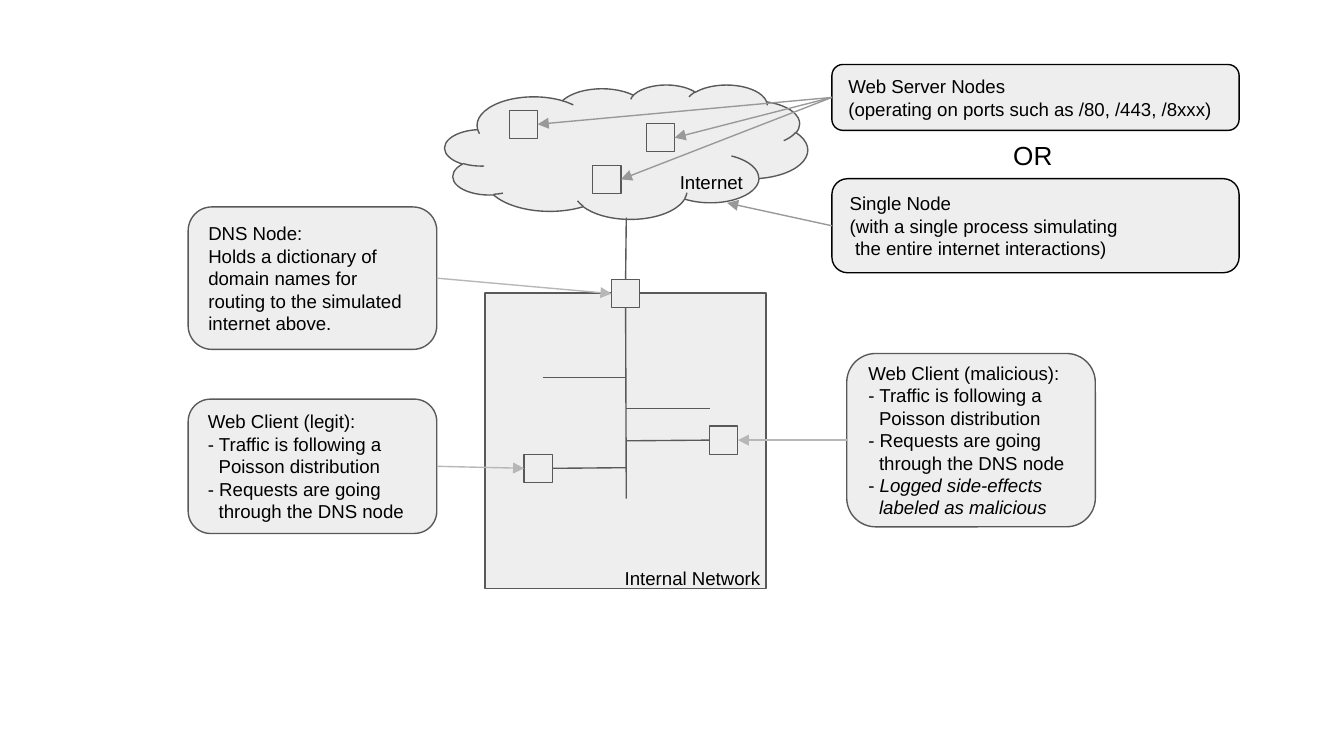
from dataclasses import dataclass

from lxml import etree
from pptx import Presentation
from pptx import util as u
from pptx.dml.color import RGBColor
from pptx.enum import shapes, text
from pptx.oxml import ns

PALE = RGBColor(0xEE, 0xEE, 0xEE)
DARK = RGBColor(0x59, 0x59, 0x59)
GRAY = RGBColor(0x99, 0x99, 0x99)
LIGHT = RGBColor(0xB7, 0xB7, 0xB7)
BLACK = RGBColor(0, 0, 0)
LINE_WIDTH = u.Pt(0.75)
INSET = u.Inches(0.1)
NODE_SIZE = 0.21
TRUNK_X = 4.66
HANG = 0.08
TOP, LEFT, BOTTOM, RIGHT = range(4)
KINDS = shapes.MSO_SHAPE


@dataclass
class Line:
    words: str
    margin: float = 0
    first: float = 0
    marker: str = ""  # upright text ahead of the words
    italic: bool = False
    spacing: float = 1.0


@dataclass
class Callout:
    left: float
    top: float
    width: float
    height: float
    lines: list
    outline: RGBColor = DARK


@dataclass
class Label:
    left: float
    top: float
    width: float
    height: float
    line: Line
    size: float = 10


@dataclass
class Link:
    """Each end is a point in inches or a (shape, side) pair."""
    start: tuple
    end: tuple
    color: RGBColor = DARK
    arrow: bool = False


def write_lines(frame, lines: list, size: float = 10) -> None:
    frame.word_wrap = True
    frame.margin_left = frame.margin_right = INSET
    frame.margin_top = frame.margin_bottom = INSET
    for index, line in enumerate(lines):
        para = frame.add_paragraph() if index else frame.paragraphs[0]
        para.alignment = text.PP_ALIGN.LEFT
        para.line_spacing = line.spacing
        para.font.name = "Arial"
        para.font.size = u.Pt(size)
        para.font.color.rgb = BLACK
        properties = para._p.get_or_add_pPr()
        properties.set("marL", str(u.Inches(line.margin)))
        properties.set("indent", str(u.Inches(line.first)))
        if line.marker:
            para.add_run().text = line.marker
        span = para.add_run()
        span.text = line.words
        if line.italic:
            span.font.italic = True


def add_block(page, kind, left: float, top: float, width: float, height: float,
              outline: RGBColor = DARK):
    block = page.shapes.add_shape(kind, u.Inches(left), u.Inches(top),
                                  u.Inches(width), u.Inches(height))
    block.shadow.inherit = False
    block.fill.solid()
    block.fill.fore_color.rgb = PALE
    block.line.color.rgb = outline
    block.line.width = LINE_WIDTH
    return block


def add_node(page, left: float, top: float):
    return add_block(page, KINDS.RECTANGLE, left, top, NODE_SIZE, NODE_SIZE)


def add_callout(page, item: Callout):
    box = add_block(page, KINDS.ROUNDED_RECTANGLE, item.left, item.top,
                    item.width, item.height, item.outline)
    box.text_frame.vertical_anchor = text.MSO_ANCHOR.MIDDLE
    write_lines(box.text_frame, item.lines)
    return box


def add_label(page, item: Label) -> None:
    box = page.shapes.add_textbox(u.Inches(item.left), u.Inches(item.top),
                                  u.Inches(item.width), u.Inches(item.height))
    write_lines(box.text_frame, [item.line], item.size)


def is_point(end: tuple) -> bool:
    return isinstance(end[0], (int, float))


def point_of(end: tuple) -> tuple:
    if is_point(end):
        return u.Inches(end[0]), u.Inches(end[1])
    return end[0].left, end[0].top


def add_link(page, item: Link) -> None:
    link = page.shapes.add_connector(shapes.MSO_CONNECTOR.STRAIGHT,
                                     *point_of(item.start), *point_of(item.end))
    for end, connect in ((item.start, link.begin_connect), (item.end, link.end_connect)):
        if not is_point(end):
            connect(*end)
    link.line.color.rgb = item.color
    link.line.width = LINE_WIDTH
    if item.arrow:
        etree.SubElement(link.line._get_or_add_ln(), ns.qn("a:tailEnd"), type="triangle")
    etree.SubElement(link._element.spPr, ns.qn("a:effectLst"))


def web_client_lines(role: str) -> list:
    return [
        Line(f"Web Client ({role}):"),
        Line("- Traffic is following a"),
        Line("Poisson distribution", HANG),
        Line("- Requests are going"),
        Line("through the DNS node", HANG),
    ]


def main() -> None:
    deck = Presentation()
    deck.slide_width = u.Inches(10)
    deck.slide_height = u.Inches(10 * 9 / 16)
    page = deck.slides.add_slide(deck.slide_layouts[6])

    # Internet cloud and internal network
    add_block(page, KINDS.CLOUD, 3.31, 0.63, 2.7, 1)
    add_block(page, KINDS.RECTANGLE, 3.61, 2.18, 2.09, 2.2)

    # Nodes
    servers = [add_node(page, *spot) for spot in ((3.79, 0.82), (4.81, 0.92), (4.41, 1.23))]
    gateway = add_node(page, 4.55, 2.08)
    legit_host = add_node(page, 3.9, 3.38)
    malicious_host = add_node(page, 5.28, 3.17)

    # Callouts
    dns = add_callout(page, Callout(1.4, 1.54, 1.85, 1.06, [
        Line("DNS Node:"),
        Line("Holds a dictionary of domain names for routing to the simulated "
             "internet above."),
    ]))
    legit = add_callout(page, Callout(1.4, 2.97, 1.85, 1, web_client_lines("legit")))
    malicious = add_callout(page, Callout(
        6.3, 2.63, 1.85, 1.29, web_client_lines("malicious") + [
            Line("Logged side-effects", marker="- ", italic=True),
            Line("labeled as malicious", HANG, italic=True),
        ]))
    web_servers = add_callout(page, Callout(6.19, 0.48, 3.03, 0.49, [
        Line("Web Server Nodes"),
        Line("(operating on ports such as /80, /443, /8xxx)"),
    ], BLACK))
    single = add_callout(page, Callout(6.19, 1.33, 3.03, 0.7, [
        Line("Single Node"),
        Line("(with a single process simulating"),
        Line("the entire internet interactions)", HANG / 2),
    ], BLACK))

    # Labels
    for label in (
        Label(4.46, 1.15, 1.33, 0.31, Line("Internet", first=0.5, spacing=1.15)),
        Label(4.05, 4.1, 3.34, 0.34, Line("Internal Network", margin=0.5, spacing=1.15)),
        Label(7.44, 0.94, 2.98, 0.35, Line("OR"), 14),
    ):
        add_label(page, label)

    # Network lines
    links = [
        Link((TRUNK_X, 1.62), (gateway, TOP)),
        Link((gateway, BOTTOM), (TRUNK_X, 3.71)),
        Link((4.04, 2.81), (TRUNK_X, 2.81)),
        Link((TRUNK_X, 3.04), (5.28, 3.04)),
        Link((legit_host, RIGHT), (TRUNK_X, 3.48)),
        Link((TRUNK_X, 3.28), (malicious_host, LEFT)),
    ]
    # Arrows from the callouts
    links += [Link((web_servers, LEFT), (server, RIGHT), GRAY, True) for server in servers]
    links += [
        Link((single, LEFT), (5.41, 1.51), GRAY, True),
        Link((dns, RIGHT), (gateway, LEFT), LIGHT, True),
        Link((legit, RIGHT), (legit_host, LEFT), LIGHT, True),
        Link((malicious, LEFT), (malicious_host, RIGHT), LIGHT, True),
    ]
    for link in links:
        add_link(page, link)

    deck.save("out.pptx")


if __name__ == "__main__":
    main()
